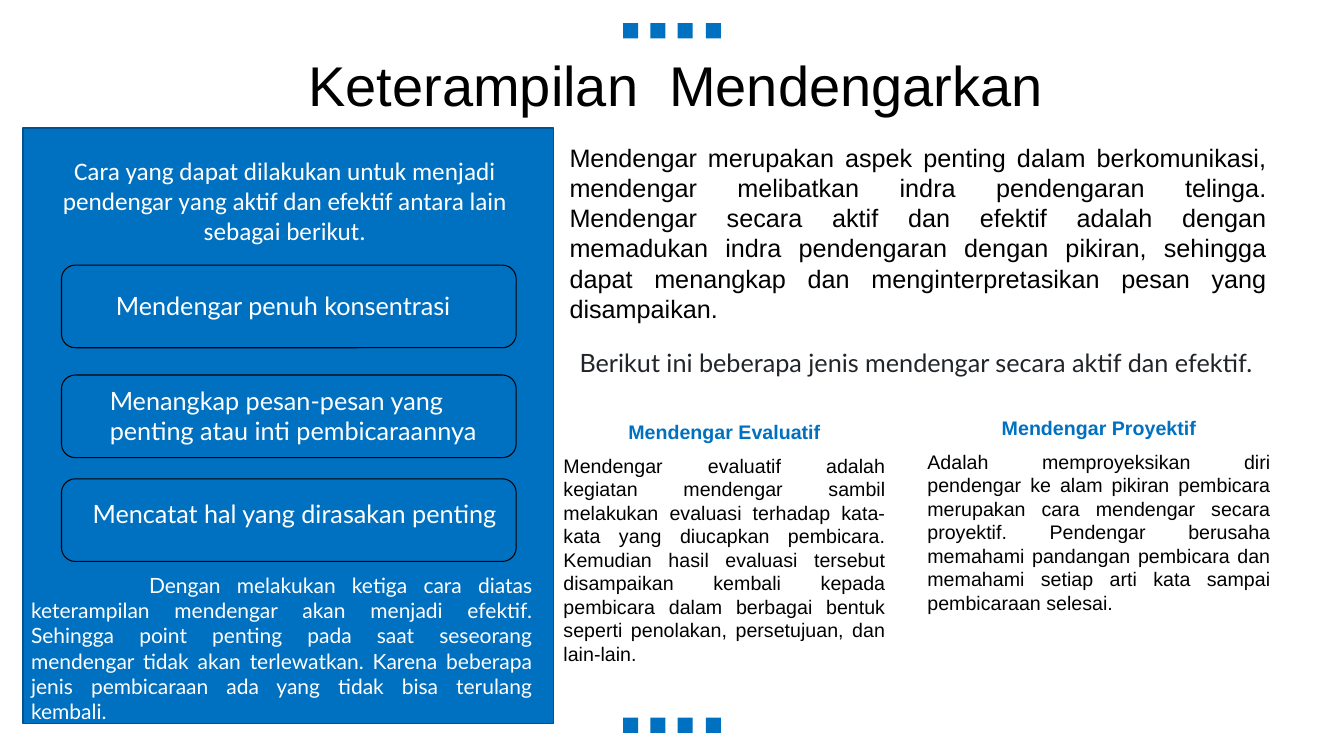
from collections import namedtuple

from pptx import Presentation
from pptx import util as u
from pptx.dml.color import RGBColor
from pptx.enum import shapes, text

BLUE = RGBColor(0x00, 0x70, 0xC0)
DARK_BLUE = RGBColor(0x00, 0x53, 0x8E)
BLACK = RGBColor(0x00, 0x00, 0x00)
CHARCOAL = RGBColor(0x21, 0x25, 0x29)
WHITE = RGBColor(0xFF, 0xFF, 0xFF)

PX = u.Inches(1) // 100
LEFT, CENTER, JUSTIFY = (
    text.PP_ALIGN.LEFT, text.PP_ALIGN.CENTER, text.PP_ALIGN.JUSTIFY)
MIDDLE = text.MSO_ANCHOR.MIDDLE

Box = namedtuple("Box", "left top width height")

# Card top, text offset and size inside the card, alignment, wording
STEPS = [
    (136, Box(44, 20, 365, 40), JUSTIFY, "Mendengar penuh konsentrasi"),
    (245, Box(38, 5, 411, 71), LEFT,
     "Menangkap pesan-pesan yang penting atau inti pembicaraannya"),
    (348, Box(21, 14, 442, 40), LEFT, "Mencatat hal yang dirasakan penting"),
]


def inside(box, left, top, width, height):
    """Turn an offset within box into a place on the slide."""
    return Box(box.left + left, box.top + top, width, height)


def emu(box):
    return [length * PX for length in box]


def add_block(page, box, fill=None, line=None, weight=1,
              preset=shapes.MSO_SHAPE.RECTANGLE):
    block = page.shapes.add_shape(preset, *emu(box))
    block.shadow.inherit = False
    if fill is None:
        block.fill.background()
    else:
        block.fill.solid()
        block.fill.fore_color.rgb = fill
    if line is None:
        block.line.fill.background()
    else:
        block.line.color.rgb = line
        block.line.width = u.Pt(weight)


def add_text(page, box, wording, size, font, color, align=LEFT,
             bold=False, anchor=text.MSO_ANCHOR.TOP):
    frame = page.shapes.add_textbox(*emu(box)).text_frame
    frame.word_wrap = True
    frame.vertical_anchor = anchor
    para = frame.paragraphs[0]
    para.text = wording
    para.alignment = align
    span = para.runs[0]
    span.font.size = u.Pt(size)
    span.font.name = font
    span.font.color.rgb = color
    span.font.bold = bold
    return para


def add_dots(page, box):
    """Spread four squares evenly over the width of the box."""
    side = box.height
    for index in range(4):
        left = index * (box.width - side) // 3
        add_block(page, inside(box, left, 0, side, side), fill=BLUE)


def add_title(page, box):
    para = add_text(page, box, "Keterampilan  Mendengarkan", 40, "Arial",
                    BLACK, CENTER, anchor=MIDDLE)
    para.line_spacing = 0.9
    para.space_before = u.Pt(10)


def add_steps_panel(page, box):
    add_block(page, box, fill=BLUE, line=DARK_BLUE)
    add_text(page, inside(box, -2, 22, 523, 101),
             "Cara yang dapat dilakukan untuk menjadi pendengar yang aktif "
             "dan efektif antara lain sebagai berikut.",
             18, "Calibri", WHITE, CENTER)
    for top, label, align, wording in STEPS:
        card = inside(box, 38, top, 451, 82)
        add_block(page, card, line=BLACK, weight=0.75,
                  preset=shapes.MSO_SHAPE.ROUNDED_RECTANGLE)
        add_text(page, inside(card, *label), wording, 18, "Lato", WHITE, align)
    closing = add_text(
        page, inside(box, -2, 436, 517, 162),
        "Dengan melakukan ketiga cara diatas keterampilan mendengar akan "
        "menjadi efektif. Sehingga point penting pada saat seseorang "
        "mendengar tidak akan terlewatkan. Karena beberapa jenis pembicaraan "
        "ada yang tidak bisa terulang kembali.",
        15, "Lato", WHITE, JUSTIFY)
    closing._p.get_or_add_pPr().set("indent", str(117 * PX))


def add_introduction(page, box):
    add_text(page, inside(box, 0, 0, 711, 192),
             "Mendengar merupakan aspek penting dalam berkomunikasi, "
             "mendengar melibatkan indra pendengaran telinga. Mendengar "
             "secara aktif dan efektif adalah dengan memadukan indra "
             "pendengaran dengan pikiran, sehingga dapat menangkap dan "
             "menginterpretasikan pesan yang disampaikan.",
             18, "Arial", BLACK, JUSTIFY)
    add_text(page, inside(box, 10, 204, 712, 40),
             "Berikut ini beberapa jenis mendengar secara aktif dan efektif.",
             18, "Lato", CHARCOAL)


def add_listening_type(page, box, heading, body):
    add_text(page, inside(box, 12, 0, box.width - 24, 34), heading,
             14, "Arial", BLUE, CENTER, bold=True, anchor=MIDDLE)
    add_text(page, inside(box, 0, 34, box.width, box.height - 34), body,
             14, "Arial", BLACK, JUSTIFY)


def main():
    deck = Presentation()
    deck.slide_width, deck.slide_height = 1333 * PX, 750 * PX
    page = deck.slides.add_slide(deck.slide_layouts[6])
    for top in (23, 712):
        add_dots(page, Box(618, top, 97, 15))
    add_title(page, Box(37, 48, 1266, 79))
    add_listening_type(
        page, Box(549, 411, 339, 349), "Mendengar Evaluatif",
        "Mendengar evaluatif adalah kegiatan mendengar sambil melakukan "
        "evaluasi terhadap kata-kata yang diucapkan pembicara. Kemudian "
        "hasil evaluasi tersebut disampaikan kembali kepada pembicara dalam "
        "berbagai bentuk seperti penolakan, persetujuan, dan lain-lain.")
    add_listening_type(
        page, Box(910, 407, 360, 303), "Mendengar Proyektif",
        "Adalah memproyeksikan diri pendengar ke alam pikiran pembicara "
        "merupakan cara mendengar secara proyektif. Pendengar berusaha "
        "memahami pandangan pembicara dan memahami setiap arti kata sampai "
        "pembicaraan selesai.")
    add_introduction(page, Box(555, 136, 722, 244))
    add_steps_panel(page, Box(23, 127, 526, 591))
    deck.save("out.pptx")


if __name__ == "__main__":
    main()
